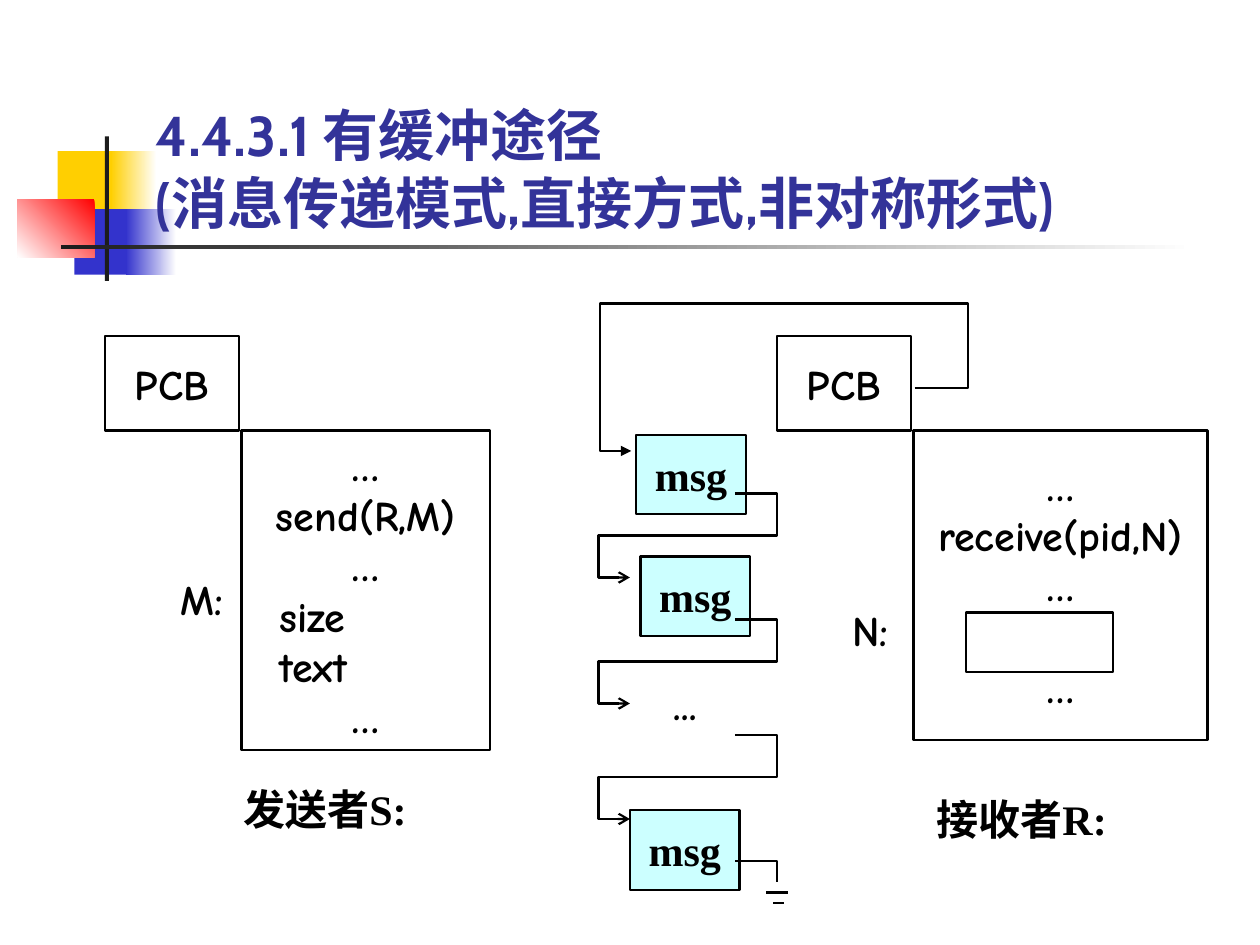
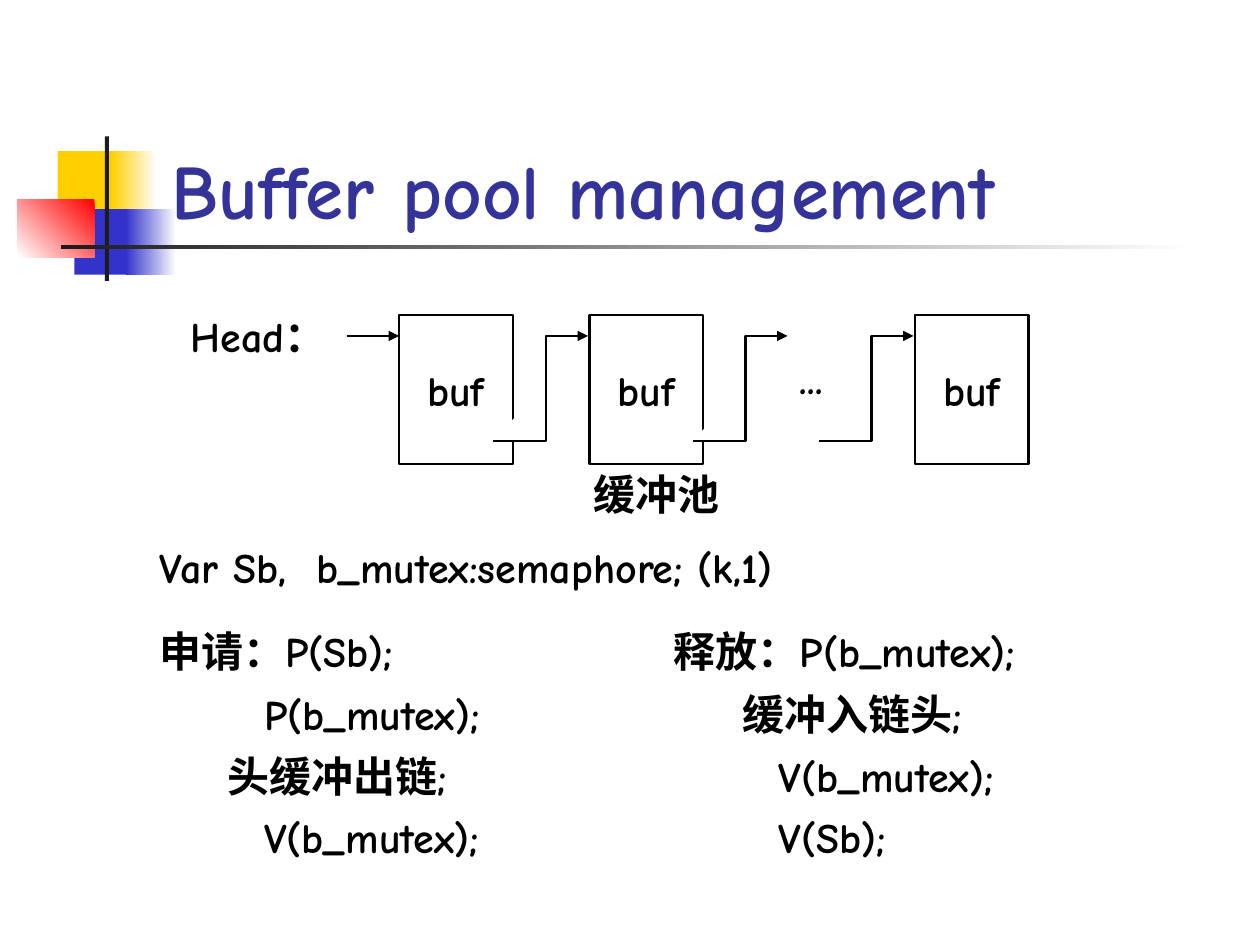
from dataclasses import dataclass
from typing import Optional

from lxml import etree
from pptx import Presentation
from pptx.dml.color import RGBColor
from pptx.enum import shapes as es, text as et
from pptx.oxml.ns import qn
from pptx.util import Pt

BLACK = RGBColor(0x00, 0x00, 0x00)
WHITE = RGBColor(0xFF, 0xFF, 0xFF)
GOLD = RGBColor(0xFF, 0xCF, 0x01)
BLUE = RGBColor(0x33, 0x33, 0xCC)
RED = RGBColor(0xFF, 0x00, 0x00)
INK = RGBColor(0x1C, 0x1C, 0x1C)
NAVY = RGBColor(0x33, 0x33, 0x99)
CYAN = RGBColor(0xCC, 0xFF, 0xFF)

COMIC, TIMES, CABIN = "Comic Neue", "Times New Roman", "Cabin"
LEFT, MID = et.PP_ALIGN.LEFT, et.PP_ALIGN.CENTER
TOP, CORE, BASE = (et.MSO_ANCHOR.TOP, et.MSO_ANCHOR.MIDDLE,
                   et.MSO_ANCHOR.BOTTOM)
RECT = es.MSO_SHAPE.RECTANGLE


@dataclass
class Run:
    text: str
    font: str = COMIC
    size: float = 24
    color: RGBColor = BLACK


@dataclass
class Para:
    runs: list[Run]
    align: object = LEFT
    indent: float = 0
    before: float = 0
    pitch: Optional[float] = None


@dataclass
class Band:
    x: float
    y: float
    w: float
    h: float
    first: RGBColor
    last: Optional[RGBColor] = None
    angle: float = 180


# Corner blocks and rules behind every title
BANDS = [
    Band(33, 86.4, 34.6, 37.4, GOLD),
    Band(63.4, 86.4, 26, 37.4, WHITE, GOLD),
    Band(42.5, 119.5, 33, 37.4, BLUE),
    Band(72, 119.5, 28.8, 37.4, WHITE, BLUE),
    Band(10, 113.8, 44, 33.2, RED, WHITE, 225),
    Band(59.9, 78, 2.4, 82.6, INK),
    Band(34.6, 140.1, 648, 2.5, WHITE, INK),
]


def style(item, **form) -> None:
    """Set every given format value on the item."""
    for key, value in form.items():
        setattr(item, key, value)


def rule(item, tip: str = "") -> None:
    """Give a black outline and, if asked, an arrowhead at its end."""
    item.line.color.rgb = BLACK
    item.line.width = Pt(1.25)
    if tip:
        ln = item._element.spPr.find(qn("a:ln"))
        etree.SubElement(ln, qn("a:tailEnd"), type=tip)


def write(frame, paras: list[Para], anchor=TOP) -> None:
    style(frame, word_wrap=True, vertical_anchor=anchor)
    for i, para in enumerate(paras):
        p = frame.add_paragraph() if i else frame.paragraphs[0]
        form = {"alignment": para.align, "line_spacing": para.pitch}
        if i and para.before:
            form["space_before"] = Pt(para.before)
        style(p, **form)
        if para.indent:
            p._p.get_or_add_pPr().set("marL", str(Pt(para.indent)))
        for run in para.runs:
            for j, line in enumerate(run.text.split("\n")):
                if j:
                    p.add_line_break()
                r = p.add_run()
                r.text = line
                style(r.font, name=run.font, size=Pt(run.size), bold=True)
                r.font.color.rgb = run.color


def label(page, x: float, y: float, w: float, h: float,
          paras: list[Para], anchor=TOP):
    box = page.shapes.add_textbox(Pt(x), Pt(y), Pt(w), Pt(h))
    write(box.text_frame, paras, anchor)
    return box


def block(page, x: float, y: float, w: float, h: float,
          paras: Optional[list[Para]] = None, fill: RGBColor = WHITE,
          edge: bool = True):
    box = page.shapes.add_shape(RECT, Pt(x), Pt(y), Pt(w), Pt(h))
    box.shadow.inherit = False
    box.fill.solid()
    box.fill.fore_color.rgb = fill
    if edge:
        rule(box)
    else:
        box.line.fill.background()
    if paras:
        write(box.text_frame, paras, CORE)
    return box


def route(page, spots: list[tuple[float, float]], tip: str = "",
          fill: Optional[RGBColor] = None) -> None:
    """Draw an open bent line through the spots."""
    (x, y), *rest = spots
    pen = page.shapes.build_freeform(Pt(x), Pt(y), scale=1.0)
    pen.add_line_segments([(Pt(a), Pt(b)) for a, b in rest], close=False)
    path = pen.convert_to_shape()
    path.shadow.inherit = False
    if fill is None:
        path.fill.background()
    else:
        path.fill.solid()
        path.fill.fore_color.rgb = fill
    rule(path, tip)


def stroke(page, x: float, y: float, end: float, tip: str = "") -> None:
    """Draw a level straight line."""
    line = page.shapes.add_connector(
        es.MSO_CONNECTOR.STRAIGHT, Pt(x), Pt(y), Pt(end), Pt(y))
    rule(line, tip)
    etree.SubElement(line._element.spPr, qn("a:effectLst"))


def mid(text: str, font: str = COMIC, before: float = 0) -> Para:
    return Para([Run(text, font)], MID, before=before)


def plain(text: str, font: str = COMIC, indent: float = 0) -> Para:
    return Para([Run(text, font)], indent=indent)


def start(deck, x: float, title: Run):
    """Add a page with the shared bands and a title."""
    page = deck.slides.add_slide(deck.slide_layouts[6])
    for b in BANDS:
        box = block(page, b.x, b.y, b.w, b.h, fill=b.first, edge=False)
        if b.last is not None:
            box.fill.gradient()
            box.fill.gradient_angle = b.angle
            for stop, color in zip(box.fill.gradient_stops,
                                   (b.first, b.last)):
                stop.color.rgb = color
    label(page, x, 48, 704 - x, 90, [Para([title])], BASE)
    return page


def channel(deck) -> None:
    """Buffered message passing between sender and receiver."""
    page = start(deck, 82, Run(
        "4.4.3.1 有缓冲途径\n(消息传递模式,直接方式,非对称形式)",
        CABIN, 32, NAVY))

    # Two processes
    for x in (60, 444):
        block(page, x, 192, 76.6, 54, [mid("PCB")])
    block(page, 138, 246, 142, 182.6, [
        mid("…"), mid("send(R,M)"), mid("…"),
        plain("size", indent=14.5), plain("text", indent=14.5), mid("…")])
    block(page, 522, 246, 168, 177, [
        mid("…"), mid("receive(pid,N)"), mid("…"), mid("…", before=29)])
    block(page, 552, 350, 84, 34)
    for x, y, w, text, font in (
            (96, 324, 48, "M:", COMIC), (480, 342, 48, "N:", COMIC),
            (378, 384, 42, "...", COMIC),
            (132, 444, 138, "发送者S:", TIMES),
            (528, 450, 120, "接收者R:", TIMES)):
        label(page, x, y, w, 36, [plain(text, font)])

    # Message queue
    for x, y in ((363.6, 248.5), (366, 318), (360, 463)):
        block(page, x, y, 62.6, 45.4, [mid("msg", TIMES)], CYAN)
    route(page, [(522.7, 221.6), (553, 221.6), (553, 173.5),
                 (342.7, 173.5), (342.7, 257.7), (360.7, 257.7)], "triangle")
    for y in (282, 354, 420):
        route(page, [(420, y), (444, y), (444, y + 24), (342, y + 24),
                     (342, y + 48), (360, y + 48)], "arrow")

    # End of queue
    route(page, [(420, 492), (444, 492), (444, 504)])
    stroke(page, 438, 510, 450)
    stroke(page, 442, 516, 448)


def steps(head: str, first: str, rest: list[tuple[str, float]]) -> list[Para]:
    lines = [Para([Run(head, TIMES), Run(first)])]
    return lines + [Para([Run(text)], indent=indent, before=15, pitch=0.7)
                    for text, indent in rest]


def pool(deck) -> None:
    """Linked pool of buffers with its two operations."""
    page = start(deck, 90.7, Run("Buffer pool management", COMIC, 44, NAVY))

    # Chain of buffers
    for x in (228, 336.8, 522.8):
        block(page, x, 180, 65, 85, [mid("buf")])
    stroke(page, 198, 192, 228, "triangle")
    for x in (282, 396, 468):
        route(page, [(x, 252), (x + 30, 252), (x + 30, 192), (x + 54, 192)],
              "triangle", WHITE)
    dots = block(page, 450, 198, 36, 36, [plain("...")], edge=False)
    dots.text_frame.vertical_anchor = TOP

    # Captions and code
    label(page, 102, 174, 108, 36, [Para([Run("Head"), Run("：", TIMES)])])
    label(page, 332, 264, 136, 36, [plain("缓冲池", CABIN)])
    label(page, 84, 306, 534, 36,
          [plain("Var Sb,  b_mutex:semaphore; (k,1)")])
    code, note = 60, 39
    label(page, 84, 354, 258, 142, steps("申请：", "P(Sb);", [
        ("P(b_mutex);", code), ("头缓冲出链;", note), ("V(b_mutex);", code)]))
    label(page, 378, 354, 258, 142, steps("释放：", "P(b_mutex);", [
        ("缓冲入链头;", note), ("V(b_mutex);", code), ("V(Sb);", code)]))


def main() -> None:
    deck = Presentation()
    style(deck, slide_width=Pt(720), slide_height=Pt(540))
    channel(deck)
    pool(deck)
    deck.save("out.pptx")


if __name__ == "__main__":
    main()
